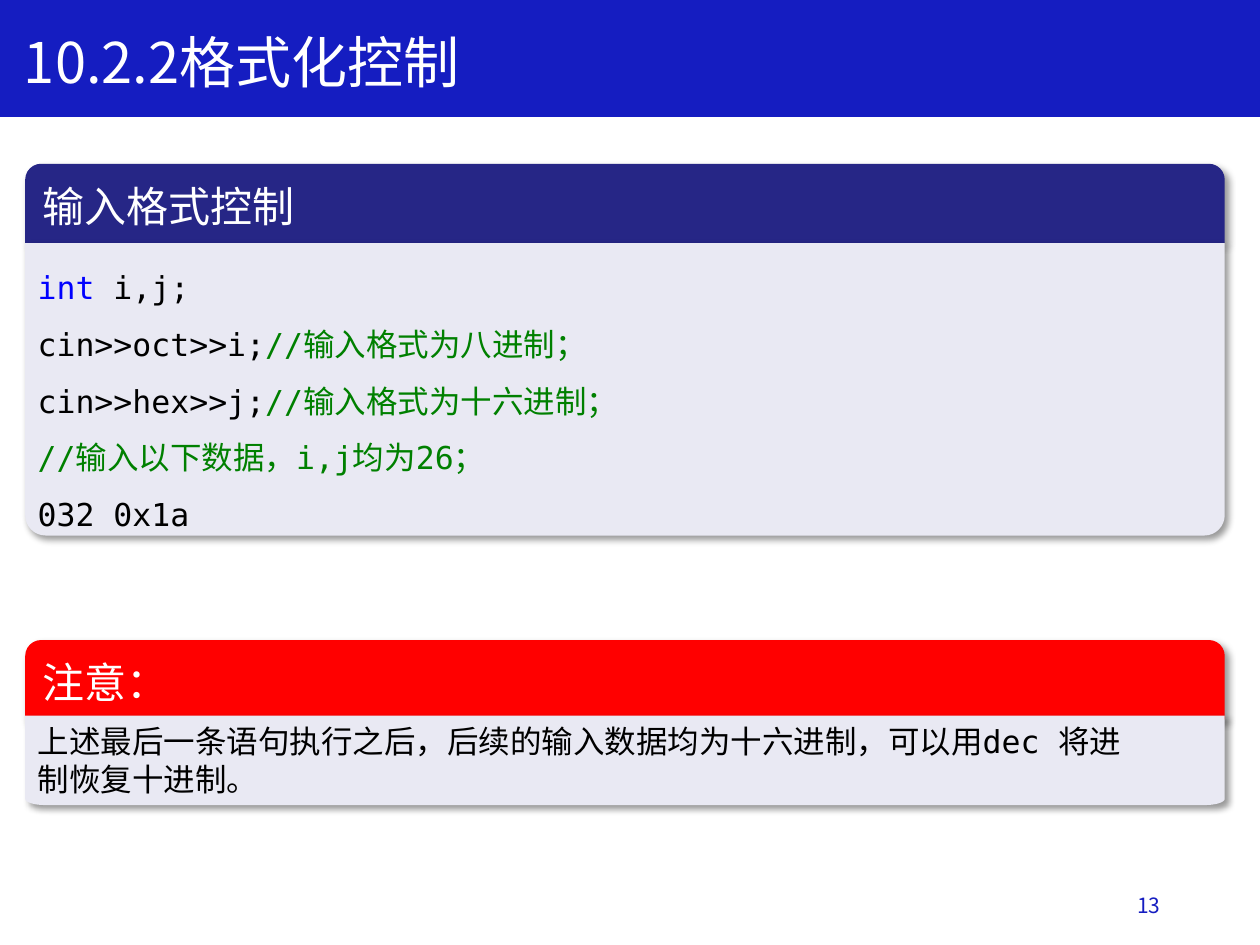
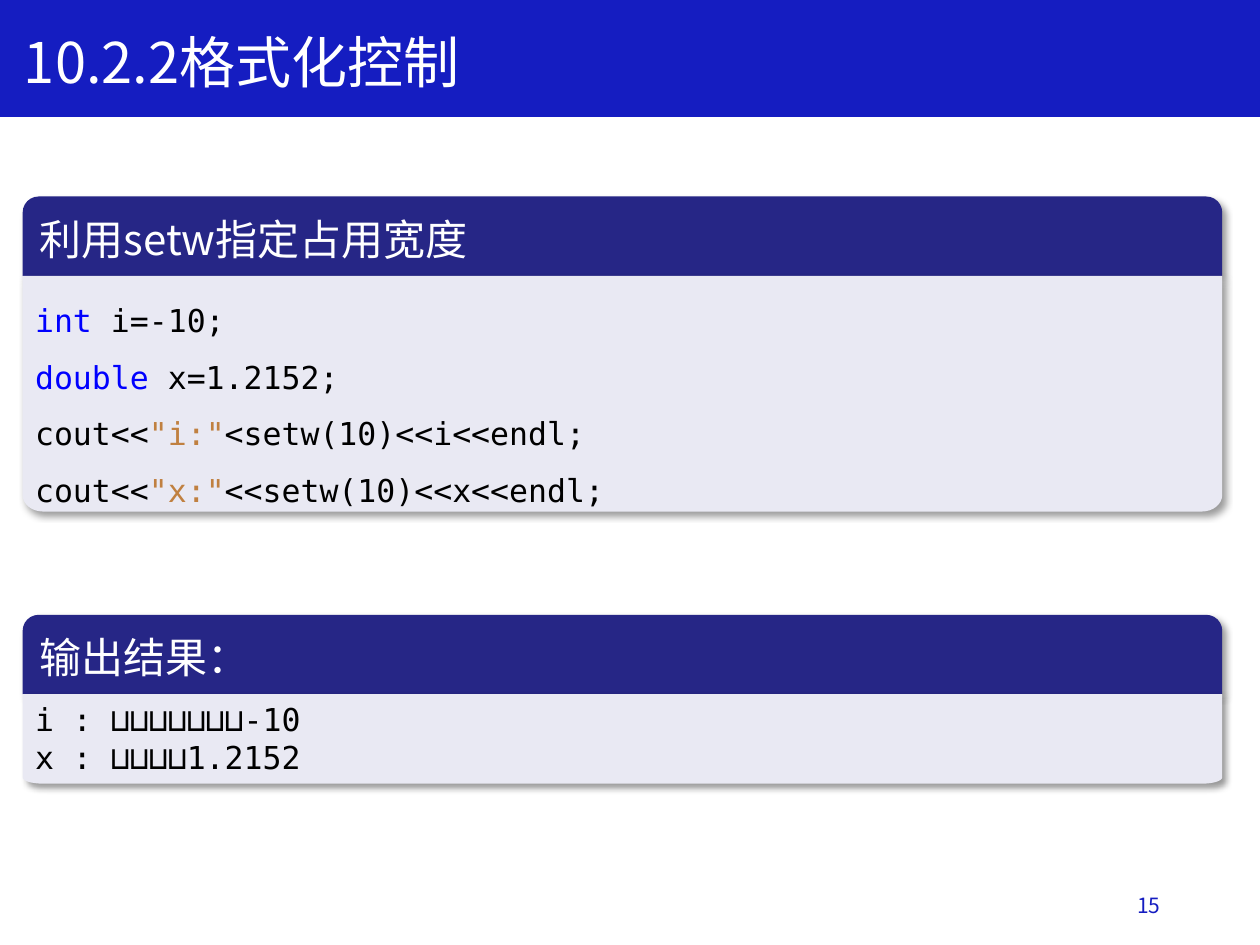
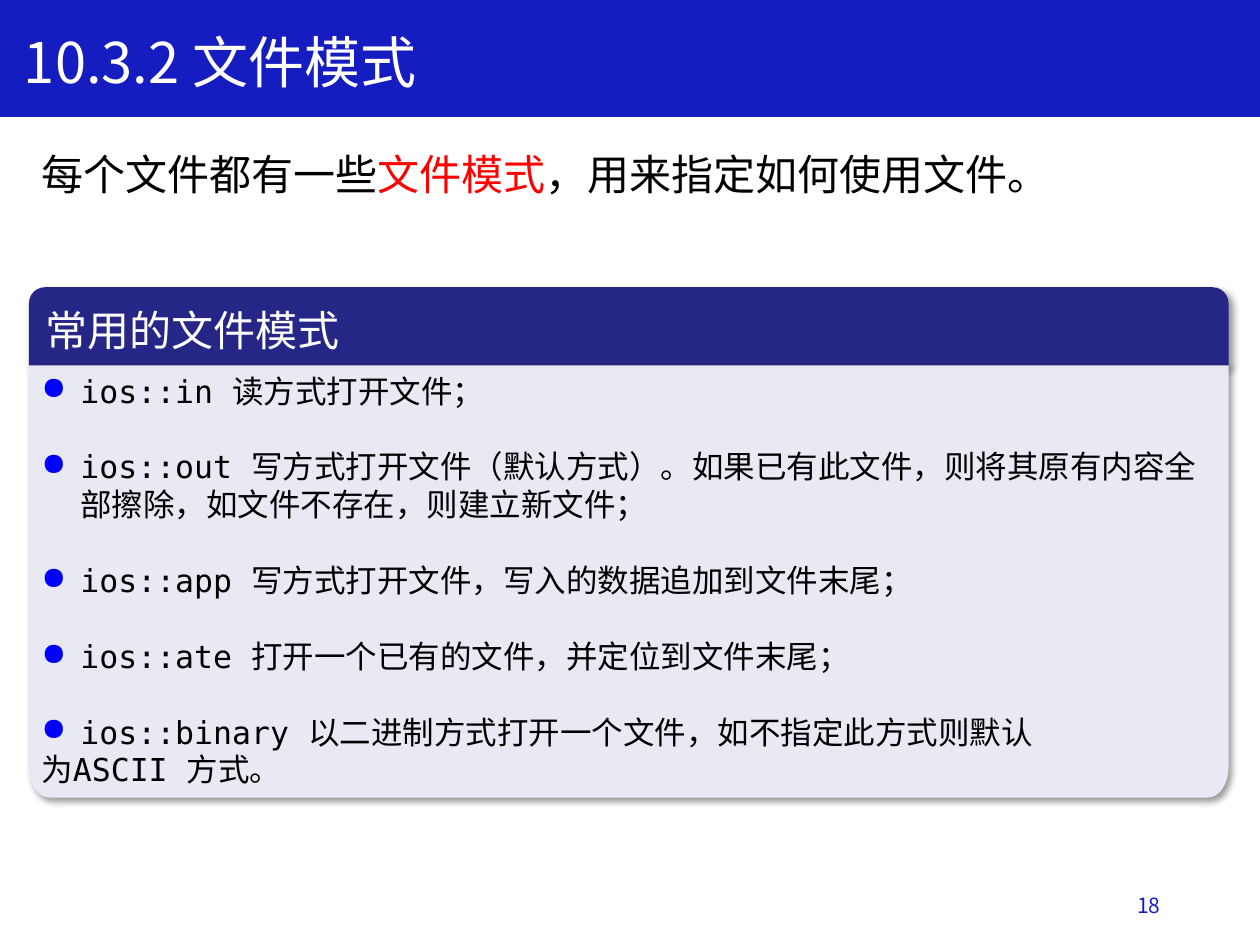
import math
from dataclasses import dataclass
from typing import NamedTuple, Optional

from lxml import etree
from pptx import Presentation
from pptx import util as u
from pptx.dml.color import RGBColor
from pptx.enum import shapes, text
from pptx.oxml.ns import qn

HUES = {
    "band": "151DC1",
    "head": "262686",
    "body": "E9E9F3",
    "alert": "FF0000",
    "paper": "FFFFFF",
    "ink": "000000",
    "key": "0000FF",
    "note": "008000",
    "quote": "C08040",
}
MONO = "DejaVu Sans Mono"
SANS = "Noto Sans CJK SC"

deck = Presentation()
deck.slide_width, deck.slide_height = u.Inches(10), u.Inches(7.5)
COLS, ROWS = 100, 75
WIDE, HEAD = 95.2, 6.3
INDENT = 3.1


def col(n: float) -> int:
    return round(deck.slide_width * n / COLS)


def row(n: float) -> int:
    return round(deck.slide_height * n / ROWS)


class Area(NamedTuple):
    left: float
    top: float
    width: float
    height: float

    def box(self) -> tuple:
        return col(self.left), row(self.top), col(self.width), row(self.height)


class Bit(NamedTuple):
    words: str
    hue: Optional[str] = None
    face: Optional[str] = None


@dataclass
class Line:
    bits: list
    size: float = 18
    hue: str = "ink"
    face: str = MONO
    lead: Optional[float] = None
    gap: float = 0
    dot: bool = False
    side: text.PP_ALIGN = text.PP_ALIGN.LEFT


@dataclass
class Panel:
    left: float
    top: float
    title: str
    depth: float
    lines: list
    hue: str = "head"
    tab: float = HEAD


@dataclass
class Page:
    title: str
    number: int
    panels: list
    lead: Optional[Line] = None
    width: float = 46.7


def tint(hue: str) -> RGBColor:
    return RGBColor.from_string(HUES[hue])


def style(font, hue: Optional[str], face: Optional[str]) -> None:
    if hue:
        font.color.rgb = tint(hue)
    if face:
        font.name = face
        etree.SubElement(font._rPr, qn("a:ea"), typeface=SANS)


def bullet(para) -> None:
    props = para._p.get_or_add_pPr()
    props.set("marL", str(col(INDENT)))
    props.set("indent", str(-col(INDENT)))
    color = etree.SubElement(props, qn("a:buClr"))
    etree.SubElement(color, qn("a:srgbClr"), val=HUES["key"])
    etree.SubElement(props, qn("a:buChar"), char="●")


def write(shape, lines: list, anchor=text.MSO_ANCHOR.TOP) -> None:
    frame = shape.text_frame
    frame.word_wrap = True
    frame.auto_size = text.MSO_AUTO_SIZE.NONE
    frame.vertical_anchor = anchor
    for i, line in enumerate(lines):
        para = frame.add_paragraph() if i else frame.paragraphs[0]
        if line.dot:
            bullet(para)
        para.alignment = line.side
        para.space_before, para.space_after = u.Pt(0), u.Pt(line.gap)
        if line.lead:
            para.line_spacing = line.lead
        para.font.size = u.Pt(line.size)
        style(para.font, line.hue, line.face)
        for bit in line.bits:
            run = para.add_run()
            run.text = bit.words
            style(run.font, bit.hue, bit.face)


def sans(words: str, size: float, hue: str, **more) -> Line:
    return Line([Bit(words)], size, hue, SANS, **more)


def code(*bits: Bit) -> Line:
    return Line(list(bits), lead=1.5)


def plain(words: str) -> Line:
    return Line([Bit(words)])


def item(words: str, gap: float = 21.7) -> Line:
    return Line([Bit(words)], gap=gap, dot=True)


def paint(shape, hue: str) -> None:
    shape.fill.solid()
    shape.fill.fore_color.rgb = tint(hue)
    shape.line.fill.background()
    shape.shadow.inherit = False


def shade(shape) -> None:
    effects = shape._element.spPr.find(qn("a:effectLst"))
    outer = etree.SubElement(
        effects, qn("a:outerShdw"), blurRad=str(u.Pt(4)), dist=str(u.Pt(3)),
        dir=str(45 * 60000), algn="tl", rotWithShape="0")
    color = etree.SubElement(outer, qn("a:srgbClr"), val=HUES["ink"])
    etree.SubElement(color, qn("a:alpha"), val="40000")


def sheet(group, area: Area):
    left, top, width, height = area.box()
    right, base = left + width, top + height
    wide, tall = col(1.6), round(height * 0.07)
    turns = [math.pi / 2 * k / 8 for k in range(9)]
    points = [(right, top)]
    points += [(right - wide + round(wide * math.cos(t)),
                base - tall + round(tall * math.sin(t))) for t in turns]
    points += [(left + wide - round(wide * math.sin(t)),
                base - tall + round(tall * math.cos(t))) for t in turns]
    pen = group.shapes.build_freeform(left, top)
    pen.add_line_segments(points, close=True)
    return pen.convert_to_shape()


def add_panel(slide, panel: Panel) -> None:
    group = slide.shapes.add_group_shape()
    head = group.shapes.add_shape(
        shapes.MSO_SHAPE.ROUND_2_SAME_RECTANGLE,
        *Area(panel.left, panel.top, WIDE, HEAD).box())
    head.adjustments[0], head.adjustments[1] = 0.2, 0
    body = sheet(group, Area(panel.left, panel.top + panel.tab, WIDE, panel.depth))
    for shape, hue in ((head, panel.hue), (body, "body")):
        paint(shape, hue)
        shade(shape)
    write(head, [sans(panel.title, 24, "paper")], text.MSO_ANCHOR.MIDDLE)
    write(body, panel.lines)


def add_text(slide, area: Area, line: Line, anchor=text.MSO_ANCHOR.TOP) -> None:
    write(slide.shapes.add_textbox(*area.box()), [line], anchor)


def add_page(page: Page) -> None:
    slide = deck.slides.add_slide(deck.slide_layouts[5])
    band = slide.shapes.add_shape(
        shapes.MSO_SHAPE.RECTANGLE, *Area(0, 0, COLS, 9.2).box())
    paint(band, "band")
    band.line.color.rgb = tint("band")
    band.line.width = u.Pt(1)
    title = slide.shapes.title
    title.left, title.top, title.width, title.height = Area(
        0.9, 1.7, page.width, 6.4).box()
    write(title, [sans(page.title, 32, "paper")])
    band._element.addnext(title._element)
    add_text(slide, Area(70.6, 69.8, 22.5, 4),
             sans(str(page.number), 12, "band", side=text.PP_ALIGN.RIGHT),
             text.MSO_ANCHOR.MIDDLE)
    for panel in page.panels:
        add_panel(slide, panel)
    if page.lead:
        add_text(slide, Area(2.3, 11.3, 81.9, 5), page.lead)


def note(words: str) -> Bit:
    return Bit(words, "note", SANS)


SLASH = Bit("//", "note")

PAGES = [
    Page("10.2.2格式化控制", 13, [
        Panel(2, 13, "输入格式控制", 23.2, [
            code(Bit("int ", "key"), Bit("i,j;")),
            code(Bit("cin>>oct>>i;"), SLASH, note("输入格式为八进制；")),
            code(Bit("cin>>hex>>j;"), SLASH, note("输入格式为十六进制；")),
            code(SLASH, note("输入以下数据，"), Bit("i,j", "note"),
                 note("均为"), Bit("26", "note"), note("；")),
            code(Bit("032 0x1a")),
        ]),
        Panel(2, 50.8, "注意：", 7.1, [
            plain("上述最后一条语句执行之后，后续的输入数据均为十六进制，可以用dec 将进"),
            plain("制恢复十进制。"),
        ], hue="alert", tab=6),
    ]),
    Page("10.2.2格式化控制", 15, [
        Panel(1.8, 15.6, "利用setw指定占用宽度", 18.7, [
            code(Bit("int ", "key"), Bit("i=-10;")),
            code(Bit("double ", "key"), Bit("x=1.2152;")),
            code(Bit("cout<<"), Bit('"i:"', "quote"), Bit("<setw(10)<<i<<endl;")),
            code(Bit("cout<<"), Bit('"x:"', "quote"), Bit("<<setw(10)<<x<<endl;")),
        ]),
        Panel(1.8, 48.8, "输出结果：", 7.1, [
            plain("i : " + "⊔" * 7 + "-10"),
            plain("x : " + "⊔" * 4 + "1.2152"),
        ]),
    ]),
    Page("10.3.2 文件模式", 18, [
        Panel(2.3, 22.8, "常用的文件模式", 34.3, [
            item("ios::in 读方式打开文件；"),
            item("ios::out 写方式打开文件（默认方式）。如果已有此文件，则将其原有内容全"
                 "部擦除，如文件不存在，则建立新文件；"),
            item("ios::app 写方式打开文件，写入的数据追加到文件末尾；"),
            item("ios::ate 打开一个已有的文件，并定位到文件末尾；"),
            item("ios::binary 以二进制方式打开一个文件，如不指定此方式则默认", gap=0),
            plain("为ASCII 方式。"),
        ], tab=6.2),
    ], lead=Line([Bit("每个文件都有一些"), Bit("文件模式", "alert"),
                  Bit("，用来指定如何使用文件。")], 24, face=SANS), width=73),
]

for page in PAGES:
    add_page(page)

deck.save("out.pptx")
